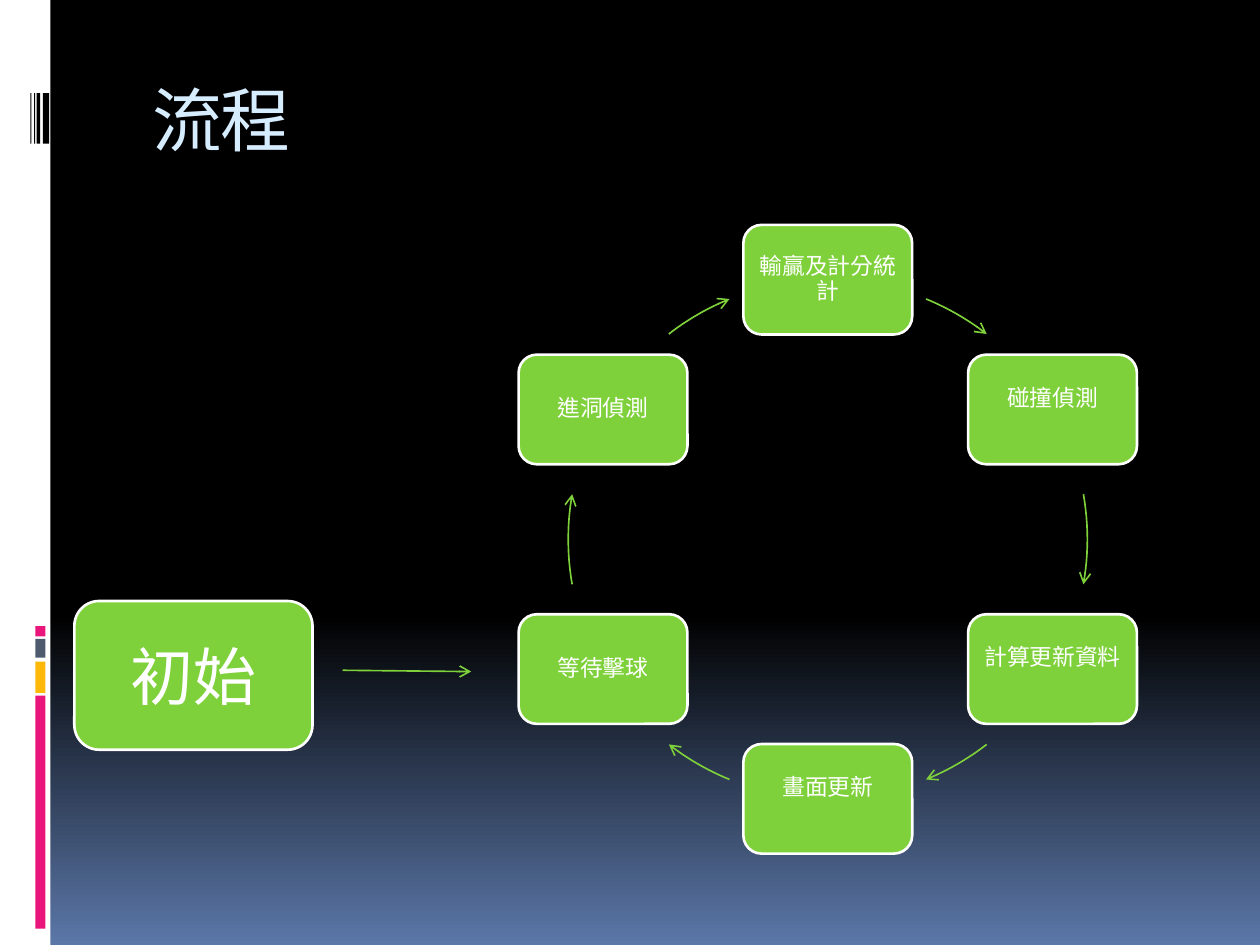
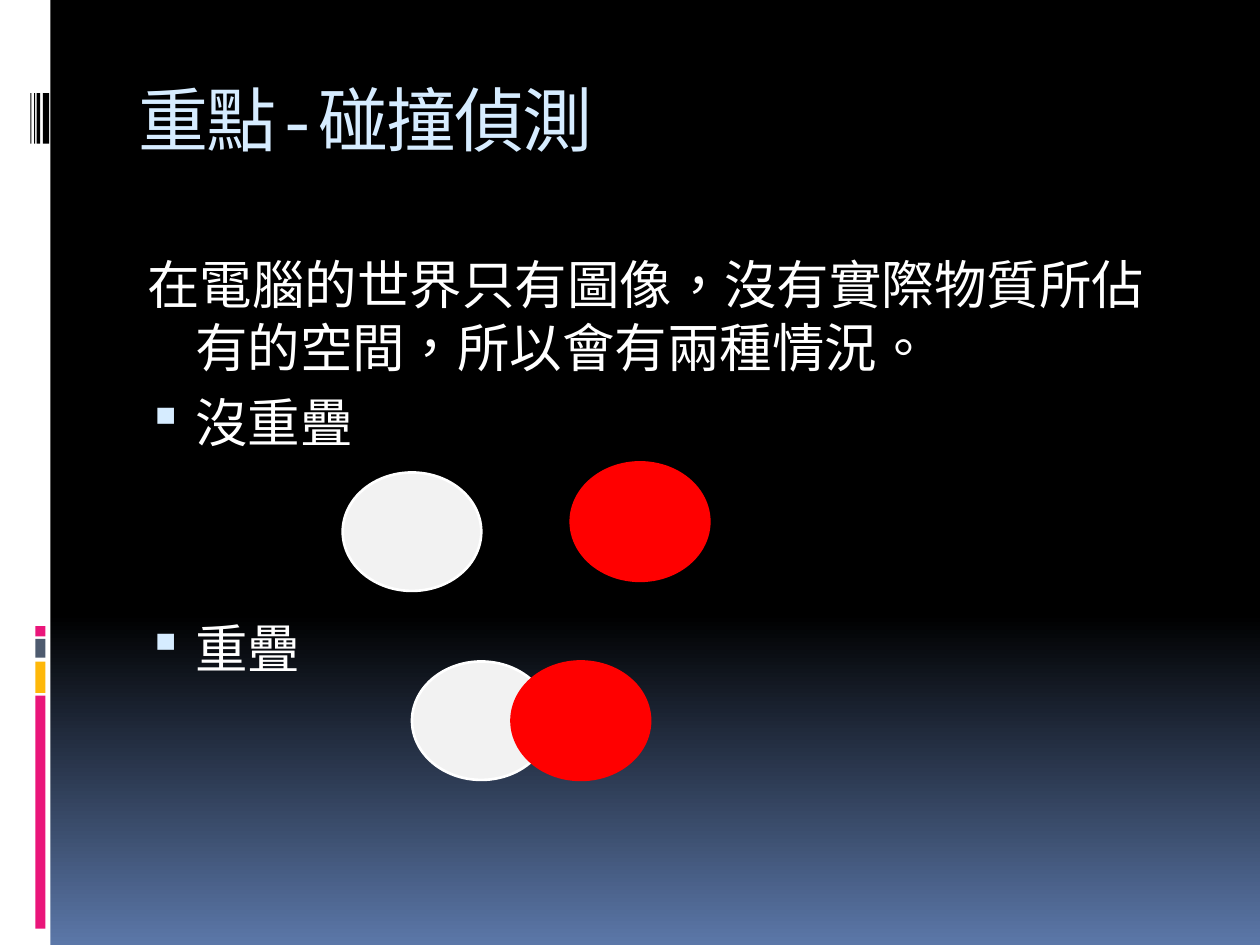
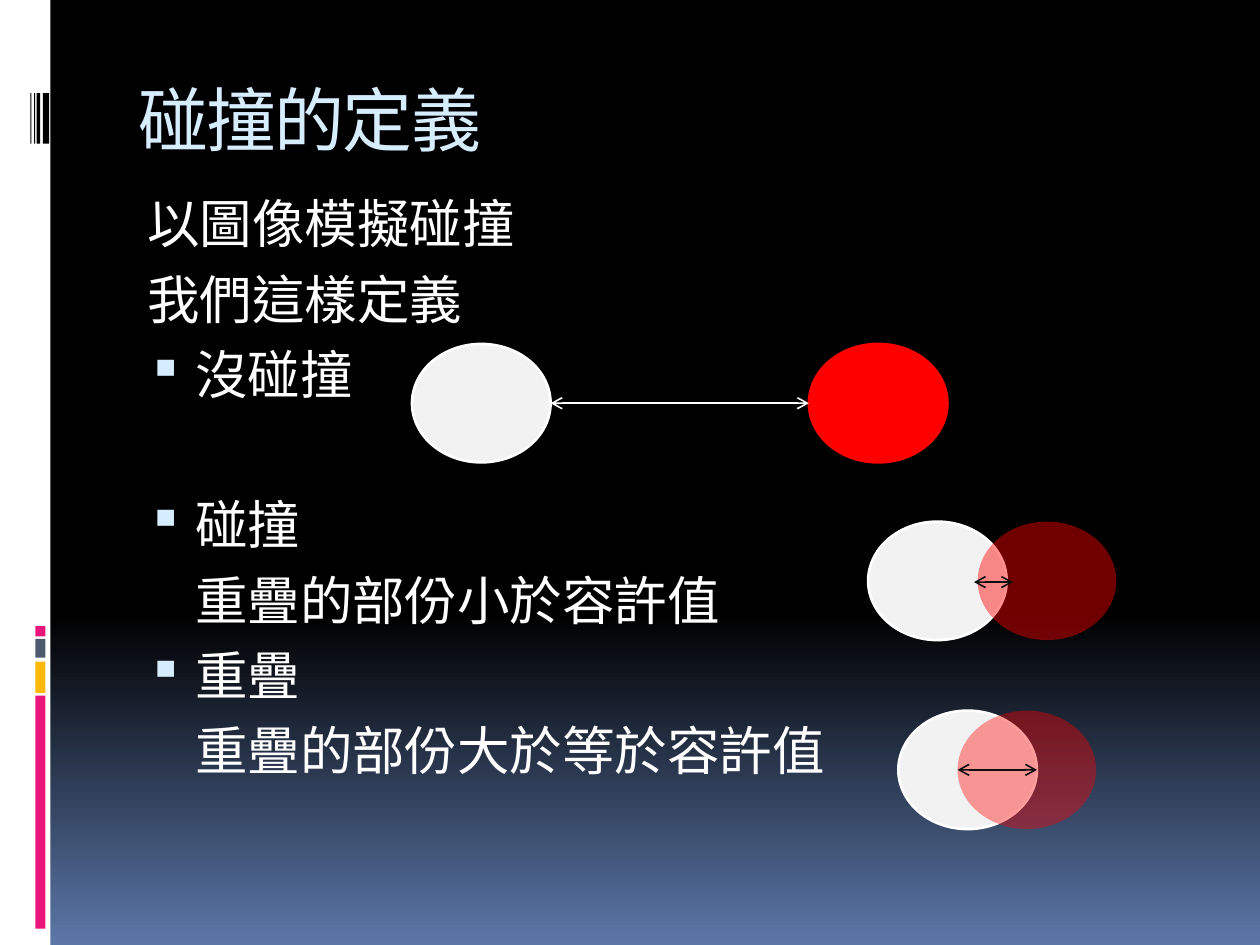
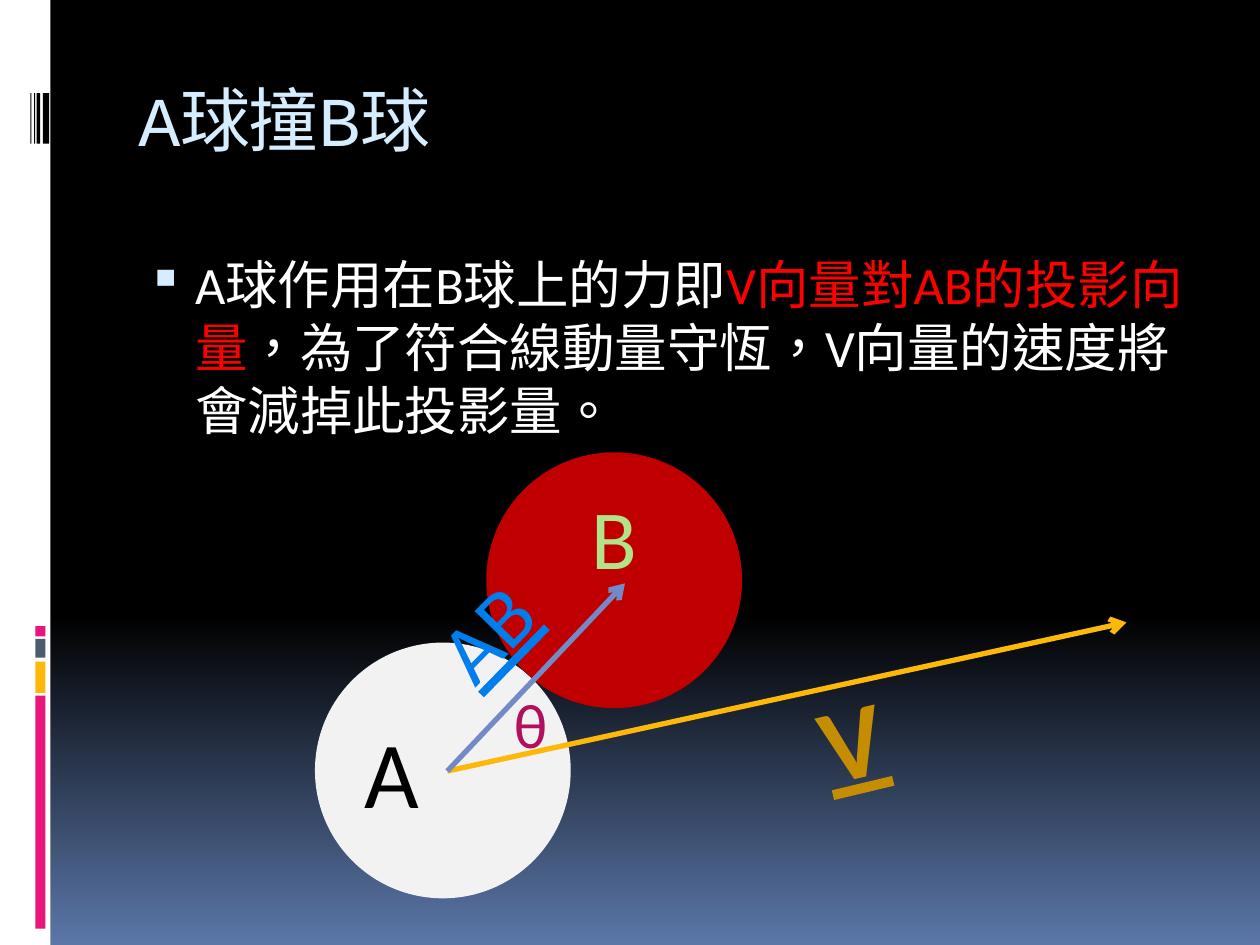
"""Build four slides on ball-collision detection in a billiards game."""
from math import cos, radians, sin

from lxml.etree import SubElement
from pptx import Presentation
from pptx.dml.color import RGBColor
from pptx.enum.shapes import MSO_CONNECTOR as LINK, MSO_SHAPE as SHAPE
from pptx.enum.text import MSO_ANCHOR as ANCHOR, PP_ALIGN as ALIGN
from pptx.oxml.ns import qn
from pptx.util import Inches, Pt

BLACK = RGBColor(0x00, 0x00, 0x00)
WHITE = RGBColor(0xFF, 0xFF, 0xFF)
DUSK = RGBColor(0x5B, 0x77, 0xA8)
ICE = RGBColor(0xD6, 0xEC, 0xFF)
PINK = RGBColor(0xEA, 0x15, 0x7A)
AMBER = RGBColor(0xFE, 0xB8, 0x0A)
SLATE = RGBColor(0x4E, 0x5B, 0x6F)
GREEN = RGBColor(0x7F, 0xD1, 0x3B)
PALE_GREEN = RGBColor(0xB2, 0xE3, 0x89)
RED = RGBColor(0xFF, 0x00, 0x00)
DARK_RED = RGBColor(0xC0, 0x00, 0x00)
CUE = RGBColor(0xF2, 0xF2, 0xF2)
INK = RGBColor(0x0D, 0x0D, 0x0D)
PERIWINKLE = RGBColor(0x73, 0x8A, 0xC8)
BLUE = RGBColor(0x00, 0x7E, 0xEB)
GOLD = RGBColor(0xC5, 0x8D, 0x01)
PLUM = RGBColor(0xB0, 0x10, 0x5C)

WIDTH, HEIGHT = 10, 7.5
LEFT, TEXT_WIDTH, BODY_BOTTOM = 1, 8.5, 6.95
TITLE_FONT, BODY_FONT = "Courier New", "Calibri"
BODY_SIZE, LINE_STEP, GAP = 30, 43, 7
HANG, INDENT = 0.45, -0.38
THIN, EDGE, BOLD_LINE = 0.94, 1.5, 3

BANDS = [
    (0, 0, 0.4, HEIGHT, WHITE),
    (0.28, 5.52, 0.08, 1.85, PINK),
    (0.28, 5.25, 0.08, 0.25, AMBER),
    (0.28, 5.07, 0.08, 0.15, SLATE),
    (0.28, 4.97, 0.08, 0.08, PINK),
    (0.34, 0.74, 0.05, 0.4, BLACK),
    (0.29, 0.74, 0.03, 0.4, BLACK),
    (0.27, 0.74, 0.01, 0.4, BLACK),
    (0.24, 0.74, 0.01, 0.4, BLACK),
]

CYCLE_X, CYCLE_Y, CYCLE_RADIUS = 6.57, 4.28, 2.06
STEP_WIDTH, STEP_HEIGHT = 1.34, 0.87
STEPS = [
    ("輸贏及計分統計", 0.05),
    ("碰撞偵測", 0.22),
    ("計算更新資料", 0.22),
    ("畫面更新", 0.22),
    ("等待擊球", 0.05),
    ("進洞偵測", 0.05),
]

# Body rows: kind, blank lines above, runs
OVERLAP_CASES = [
    ("plain", 0, [("在電腦的世界只有圖像，沒有實際物質所佔有的空間，所以會有兩種情況。", WHITE)]),
    ("bullet", 0, [("沒重疊", WHITE)]),
    ("bullet", 2, [("重疊", WHITE)]),
]
DEFINITIONS = [
    ("plain", 0, [("以圖像模擬碰撞", WHITE)]),
    ("plain", 0, [("我們這樣定義", WHITE)]),
    ("bullet", 0, [("沒碰撞", WHITE)]),
    ("bullet", 1, [("碰撞", WHITE)]),
    ("detail", 0, [("重疊的部份小於容許值", WHITE)]),
    ("bullet", 0, [("重疊", WHITE)]),
    ("detail", 0, [("重疊的部份大於等於容許值", WHITE)]),
]
PROJECTION = [
    ("bullet", 0, [
        ("A球作用在B球上的力即", WHITE),
        ("V向量對AB的投影向量", RED),
        ("，為了符合線動量守恆，V向量的速度將會減掉此投影量。", WHITE),
    ]),
]

BALL_WIDTH, BALL_HEIGHT, BIG_BALL = 1.1, 0.94, 2.03
OVERLAP_BALLS = [
    (2.72, 3.75, CUE, WHITE, None),
    (4.53, 3.67, RED, RED, None),
    (3.27, 5.25, CUE, WHITE, None),
    (4.06, 5.25, RED, RED, None),
]
DEFINITION_BALLS = [
    (7.13, 5.64, CUE, WHITE, None),
    (7.6, 5.64, RED, None, 39),
    (3.27, 2.73, CUE, WHITE, None),
    (6.42, 2.73, RED, RED, None),
    (6.89, 4.14, CUE, WHITE, None),
    (7.76, 4.14, RED, None, 44),
]
DISTANCES = [
    ((7.73, 4.62), (8.04, 4.62), INK),
    ((7.6, 6.11), (8.23, 6.11), INK),
    ((4.37, 3.2), (6.42, 3.2), WHITE),
]
VECTOR_START = (3.55, 6.12)
VECTORS = [((8.94, 4.94), AMBER), ((4.96, 4.63), PERIWINKLE)]
VECTOR_LABELS = [
    ("V", (6.05, 5.3, 1.41, 1.11), 346.5, 60, GOLD, True, True, True),
    ("AB", (3.36, 4.53, 1.03, 0.91), 314.4, 48, BLUE, False, True, False),
    ("θ", (3.98, 5.39, 0.48, 0.71), 0, 36, PLUM, False, False, False),
]


def write(para, text, size, color, font=BODY_FONT):
    span = para.add_run()
    span.text = text
    span.font.size, span.font.name = Pt(size), font
    span.font.color.rgb = color
    span._r.get_or_add_rPr().set("lang", "zh-TW")
    return span


def outline(shape, color, width):
    if color is None:
        shape.line.fill.background()
    else:
        shape.line.color.rgb = color
        shape.line.width = Pt(width)


def add_arrowheads(shape, *ends):
    line = shape.line._get_or_add_ln()
    for end in ends:
        SubElement(line, qn(f"a:{end}"), type="arrow")


def add_block(page, kind, place, fill, line=None, opacity=None):
    shape = page.shapes.add_shape(kind, *map(Inches, place))
    shape.shadow.inherit = False
    shape.fill.solid()
    shape.fill.fore_color.rgb = fill
    outline(shape, line, EDGE)
    if opacity:
        color = shape._element.spPr.find(".//" + qn("a:srgbClr"))
        SubElement(color, qn("a:alpha"), val=str(opacity * 1000))
    return shape


def label(shape, text, size, color=WHITE, align=ALIGN.CENTER):
    frame = shape.text_frame
    frame.word_wrap = True
    frame.vertical_anchor = ANCHOR.MIDDLE
    para = frame.paragraphs[0]
    para.alignment = align
    write(para, text, size, color)
    return frame


def add_line(page, start, end, color, width, *ends):
    line = page.shapes.add_connector(LINK.STRAIGHT, *map(Inches, start + end))
    outline(line, color, width)
    add_arrowheads(line, *ends)
    SubElement(line._element.spPr, qn("a:effectLst"))


def add_text_box(page, place, wrap=True):
    box = page.shapes.add_textbox(*map(Inches, place))
    box.text_frame.word_wrap = wrap
    return box


def add_page(deck, title):
    page = deck.slides.add_slide(deck.slide_layouts[6])
    for *place, color in BANDS:
        add_block(page, SHAPE.RECTANGLE, place, color)
    box = add_text_box(page, (LEFT, 0.56, TEXT_WIDTH, 1))
    span = write(box.text_frame.paragraphs[0], title, 40, ICE, TITLE_FONT)
    span._r.get_or_add_rPr().set("spc", "-100")
    return page


def add_body(page, top, rows):
    frame = add_text_box(page, (LEFT, top, TEXT_WIDTH, BODY_BOTTOM - top)).text_frame
    for index, (kind, blank_lines, runs) in enumerate(rows):
        para = frame.add_paragraph() if index else frame.paragraphs[0]
        para.space_before = Pt(GAP + blank_lines * LINE_STEP)
        props = para._p.get_or_add_pPr()
        props.set("marL", str(Inches(HANG)))
        props.set("indent", str(0 if kind == "detail" else Inches(INDENT)))
        if kind == "bullet":
            color = SubElement(props, qn("a:buClr"))
            SubElement(color, qn("a:srgbClr"), val=str(ICE))
            SubElement(props, qn("a:buSzPct"), val="95000")
            SubElement(props, qn("a:buChar"), char="▪")
        else:
            SubElement(props, qn("a:buNone"))
        for text, color in runs:
            write(para, text, BODY_SIZE, color)


def add_balls(page, balls):
    for left, top, fill, line, opacity in balls:
        add_block(page, SHAPE.OVAL, (left, top, BALL_WIDTH, BALL_HEIGHT), fill, line, opacity)


def cycle_point(degrees):
    angle = radians(degrees)
    return CYCLE_X + CYCLE_RADIUS * sin(angle), CYCLE_Y - CYCLE_RADIUS * cos(angle)


def add_arc(page, middle, half_span, pieces=12):
    angles = [middle + half_span * (2 * i / pieces - 1) for i in range(pieces + 1)]
    points = [tuple(map(Inches, cycle_point(angle))) for angle in angles]
    builder = page.shapes.build_freeform(*points[0])
    builder.add_line_segments(points[1:], close=False)
    arc = builder.convert_to_shape()
    arc.shadow.inherit = False
    arc.fill.background()
    outline(arc, GREEN, THIN)
    add_arrowheads(arc, "tailEnd")


def build_flow(deck):
    page = add_page(deck, " 流程")
    turn = 360 / len(STEPS)
    for index, (text, bottom) in enumerate(STEPS):
        x, y = cycle_point(index * turn)
        place = (x - STEP_WIDTH / 2, y - STEP_HEIGHT / 2, STEP_WIDTH, STEP_HEIGHT)
        step = add_block(page, SHAPE.ROUNDED_RECTANGLE, place, GREEN, WHITE)
        frame = label(step, text, 13)
        frame.paragraphs[0].line_spacing = 0.9
        frame.margin_left = frame.margin_right = frame.margin_top = Inches(0.05)
        frame.margin_bottom = Inches(bottom)
        add_arc(page, (index + 0.5) * turn, 10 if index % 3 == 1 else 7.75)
    start = add_block(page, SHAPE.ROUNDED_RECTANGLE, (0.59, 4.77, 1.89, 1.18), GREEN, WHITE)
    label(start, "初始", 36)
    add_line(page, (2.72, 5.32), (3.74, 5.33), GREEN, THIN, "tailEnd")


def build_overlap(deck):
    page = add_page(deck, "重點-碰撞偵測")
    add_body(page, 1.95, OVERLAP_CASES)
    add_balls(page, OVERLAP_BALLS)


def build_definition(deck):
    page = add_page(deck, "碰撞的定義")
    add_body(page, 1.47, DEFINITIONS)
    add_balls(page, DEFINITION_BALLS)
    for start, end, color in DISTANCES:
        add_line(page, start, end, color, THIN, "headEnd", "tailEnd")


def build_vectors(deck):
    page = add_page(deck, "A球撞B球")
    add_body(page, 1.95, PROJECTION)
    ball_a = add_block(page, SHAPE.OVAL, (2.5, 5.1, BIG_BALL, BIG_BALL), CUE)
    label(ball_a, "A", 54, BLACK, ALIGN.LEFT)
    ball_b = add_block(page, SHAPE.OVAL, (3.86, 3.59, BIG_BALL, BIG_BALL), DARK_RED)
    label(ball_b, "B", 48, PALE_GREEN).margin_bottom = Inches(0.75)
    for end, color in VECTORS:
        add_line(page, VECTOR_START, end, color, BOLD_LINE, "tailEnd")
    for text, place, rotation, size, color, bold, underline, wrap in VECTOR_LABELS:
        box = add_text_box(page, place, wrap)
        box.rotation = rotation
        para = box.text_frame.paragraphs[0]
        para.alignment = ALIGN.CENTER if wrap else ALIGN.LEFT
        span = write(para, text, size, color)
        span.font.bold, span.font.underline = bold, underline


def main():
    deck = Presentation()
    deck.slide_width, deck.slide_height = Inches(WIDTH), Inches(HEIGHT)
    backdrop = deck.slide_master.background.fill
    backdrop.gradient()
    backdrop.gradient_angle = 270
    for stop, position, color in zip(backdrop.gradient_stops, (0.65, 1), (BLACK, DUSK)):
        stop.position, stop.color.rgb = position, color
    for build in (build_flow, build_overlap, build_definition, build_vectors):
        build(deck)
    deck.save("out.pptx")


if __name__ == "__main__":
    main()
